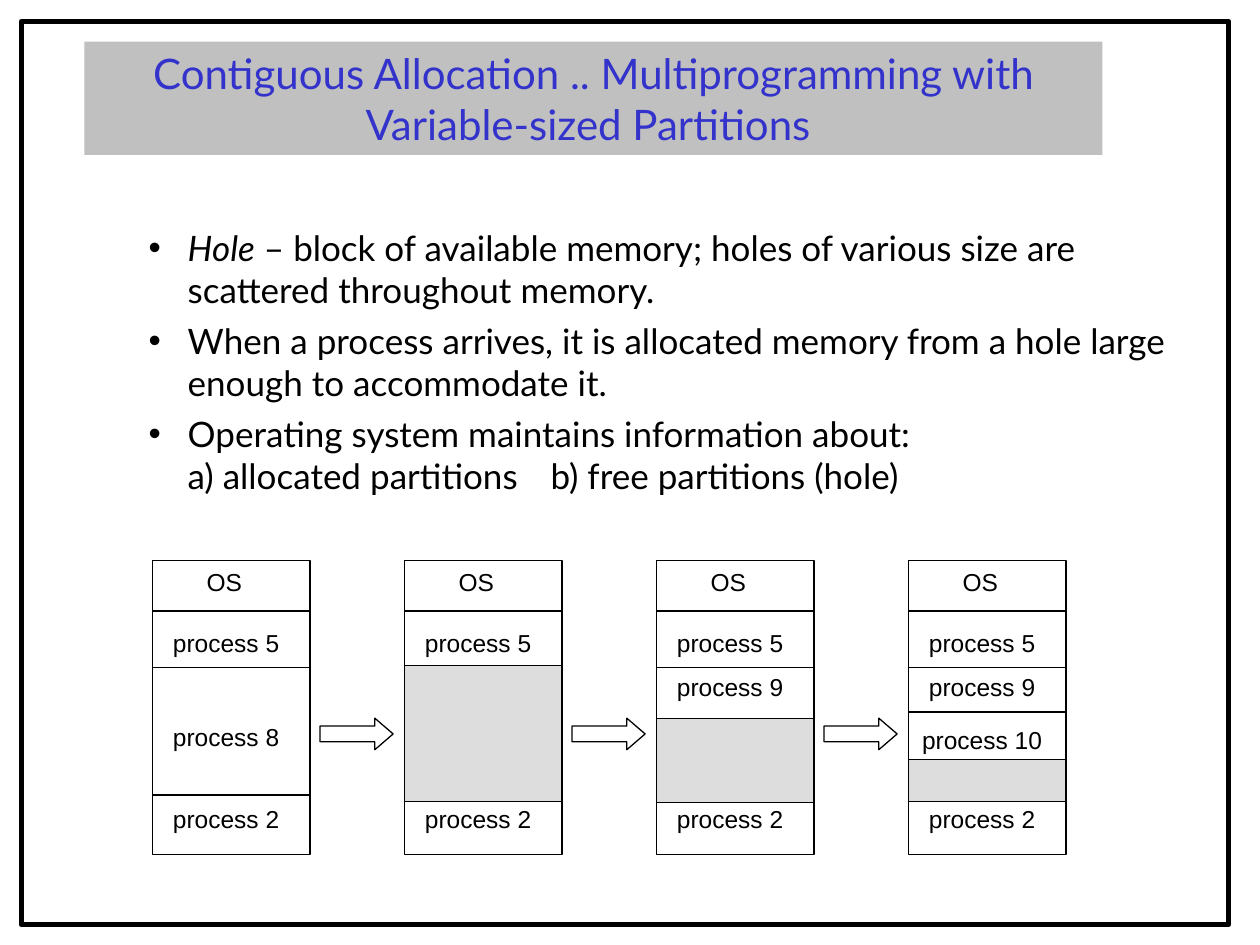
"""Builds a slide on contiguous allocation with variable-sized partitions."""
from lxml import etree
from pptx import Presentation
from pptx.dml.color import RGBColor
from pptx.enum.shapes import MSO_CONNECTOR as CONN, MSO_SHAPE as SHAPE
from pptx.enum.text import MSO_ANCHOR as ANCHOR, MSO_AUTO_SIZE as FIT, PP_ALIGN as ALIGN
from pptx.oxml.ns import qn
from pptx.util import Inches, Pt

COLORS = {name: RGBColor.from_string(value) for name, value in {
    "black": "000000", "white": "FFFFFF", "hole": "DDDDDD",
    "banner": "C0C0C0", "title": "3333CC"}.items()}


def add_box(kind, x, y, w, h, fill, weight=0.75):
    sp = s.shapes.add_shape(kind, Inches(x), Inches(y), Inches(w), Inches(h))
    sp.shadow.inherit = False
    sp.line.color.rgb = COLORS["black"]
    sp.line.width = Pt(weight)
    if fill:
        sp.fill.solid()
        sp.fill.fore_color.rgb = COLORS[fill]
    else:
        sp.fill.background()
    return sp


def set_font(p, name, size, color):
    p.font.name = name
    p.font.size = Pt(size)
    p.font.color.rgb = COLORS[color]


prs = Presentation()
prs.slide_width, prs.slide_height = Inches(10), Inches(7.5)
s = prs.slides.add_slide(prs.slide_layouts[1])

title = s.shapes.title
title.left, title.top, title.width, title.height = map(Inches, (0.67, 0.33, 8.08, 0.9))
title.fill.solid()
title.fill.fore_color.rgb = COLORS["banner"]
tf = title.text_frame
tf.text = "Contiguous Allocation .. Multiprogramming with Variable-sized Partitions "
tf.auto_size = FIT.NONE
tf.vertical_anchor = ANCHOR.TOP
tf.paragraphs[0].alignment = ALIGN.CENTER
set_font(tf.paragraphs[0], "Lato", 24, "title")

body = s.placeholders[1]
body.left, body.top, body.width, body.height = map(Inches, (0.58, 1.75, 8.78, 2.42))
tf = body.text_frame
tf.auto_size = FIT.NONE
bullets = [
    ["Hole", " – block of available memory; holes of various size are scattered throughout memory."],
    ["When a process arrives, it is allocated memory from a hole large enough to accommodate it."],
    ["Operating system maintains information about:\va) allocated partitions", " ",
     "b) free partitions (hole)"],
]
for i, parts in enumerate(bullets):
    p = tf.paragraphs[0] if i == 0 else tf.add_paragraph()
    p.level = 1
    p.space_before = Pt(5)
    set_font(p, "Lato", 20, "black")
    for part in parts:
        for j, line in enumerate(part.split("\v")):
            if j:
                p.add_line_break()
            r = p.add_run()
            r.text = line
            if line == "Hole":
                r.font.italic = True
            elif line == " ":
                r.font._element.set("spc", "1350")
    pPr = p._p.get_or_add_pPr()
    pPr.set("marL", str(Inches(0.81)))
    pPr.set("indent", str(Inches(-0.31)))
    bullet_font = etree.Element(qn("a:buFont"), typeface="Arial")
    bullet_char = etree.Element(qn("a:buChar"), char="•")
    pPr.find(qn("a:defRPr")).addprevious(bullet_font)
    bullet_font.addnext(bullet_char)

top, height, width, pitch = 4.45, 2.33, 1.25, 2
memory_states = [
    ([4.85, 5.3, 6.31], None, [("process 8", 5.68)]),
    ([4.85], (5.28, 1.08), []),
    ([4.85, 5.3], (5.7, 0.67), [("process 9", 5.28)]),
    ([4.85, 5.3, 5.65], (6.03, 0.33), [("process 9", 5.28), ("process 10", 5.7)]),
]
for i, (dividers, hole, processes) in enumerate(memory_states):
    x = 1.21 + i * pitch
    add_box(SHAPE.RECTANGLE, x, top, width, height, "white")
    for y in dividers:
        line = s.shapes.add_connector(
            CONN.STRAIGHT, Inches(x), Inches(y), Inches(x + width), Inches(y))
        line.line.color.rgb = COLORS["black"]
        line.line.width = Pt(0.75)
        etree.SubElement(line._element.spPr, qn("a:effectLst"))
    if hole:
        add_box(SHAPE.RECTANGLE, x, hole[0], width, hole[1], "hole")
    for text, y in [("OS", top), ("process 5", 4.93), *processes, ("process 2", 6.33)]:
        left, w = (x + 0.33, 0.48) if text == "OS" else (x, 1.17)
        label = s.shapes.add_textbox(Inches(left), Inches(y), Inches(w), Inches(0.34))
        tf = label.text_frame
        tf.text = text
        tf.word_wrap = text != "OS"
        tf.auto_size = FIT.SHAPE_TO_FIT_TEXT
        tf.vertical_anchor = ANCHOR.MIDDLE
        p = tf.paragraphs[0]
        p.alignment = ALIGN.CENTER
        p.space_before = Pt(8.8)
        set_font(p, "Arial", 14, "black")
    if i < len(memory_states) - 1:
        arrow = add_box(SHAPE.RIGHT_ARROW, x + 1.33, 5.7, 0.58, 0.25, "white")
        arrow.adjustments[1] = 0.58

add_box(SHAPE.RECTANGLE, 0.17, 0.17, 9.58, 7.17, None, 3)

prs.save("out.pptx")
